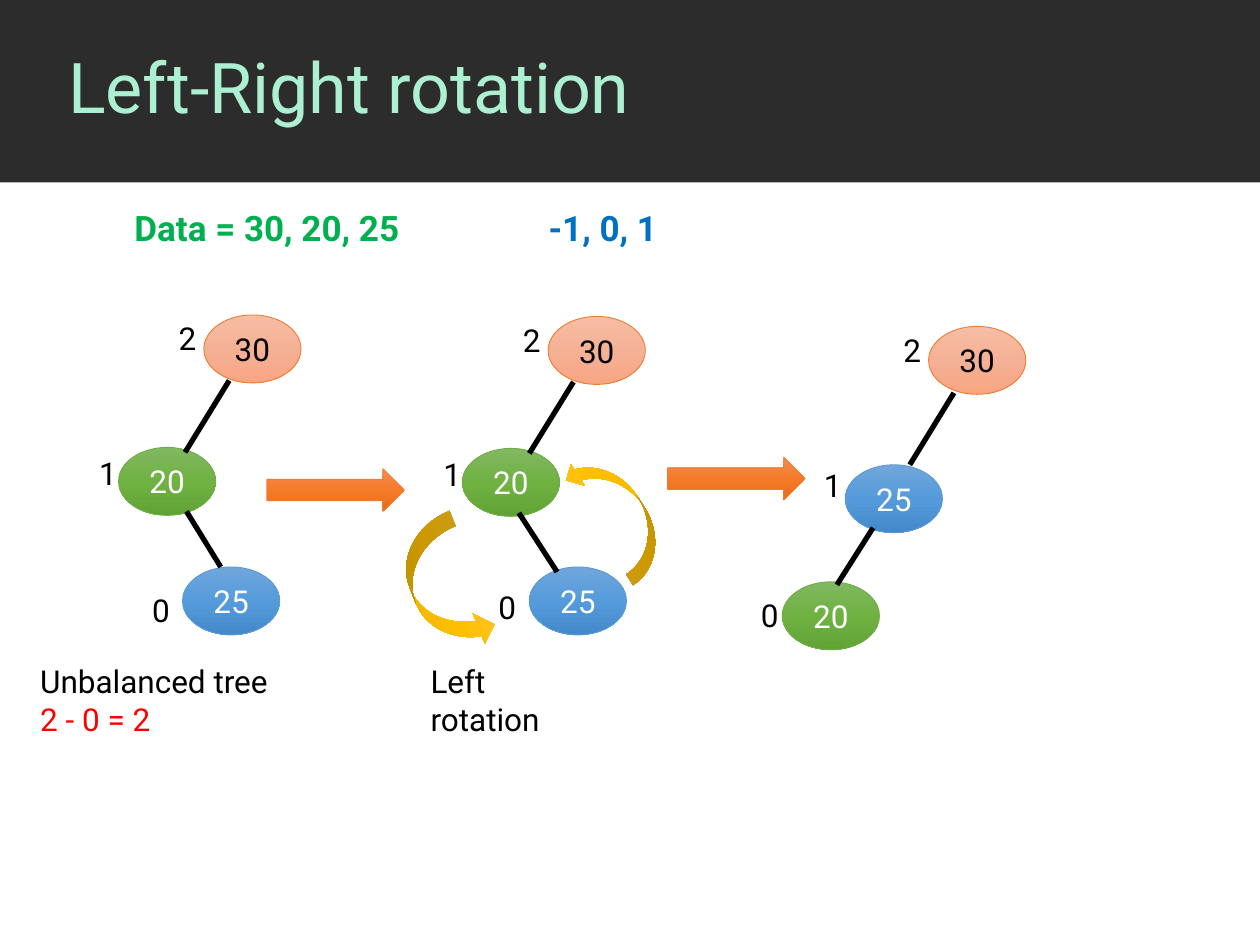
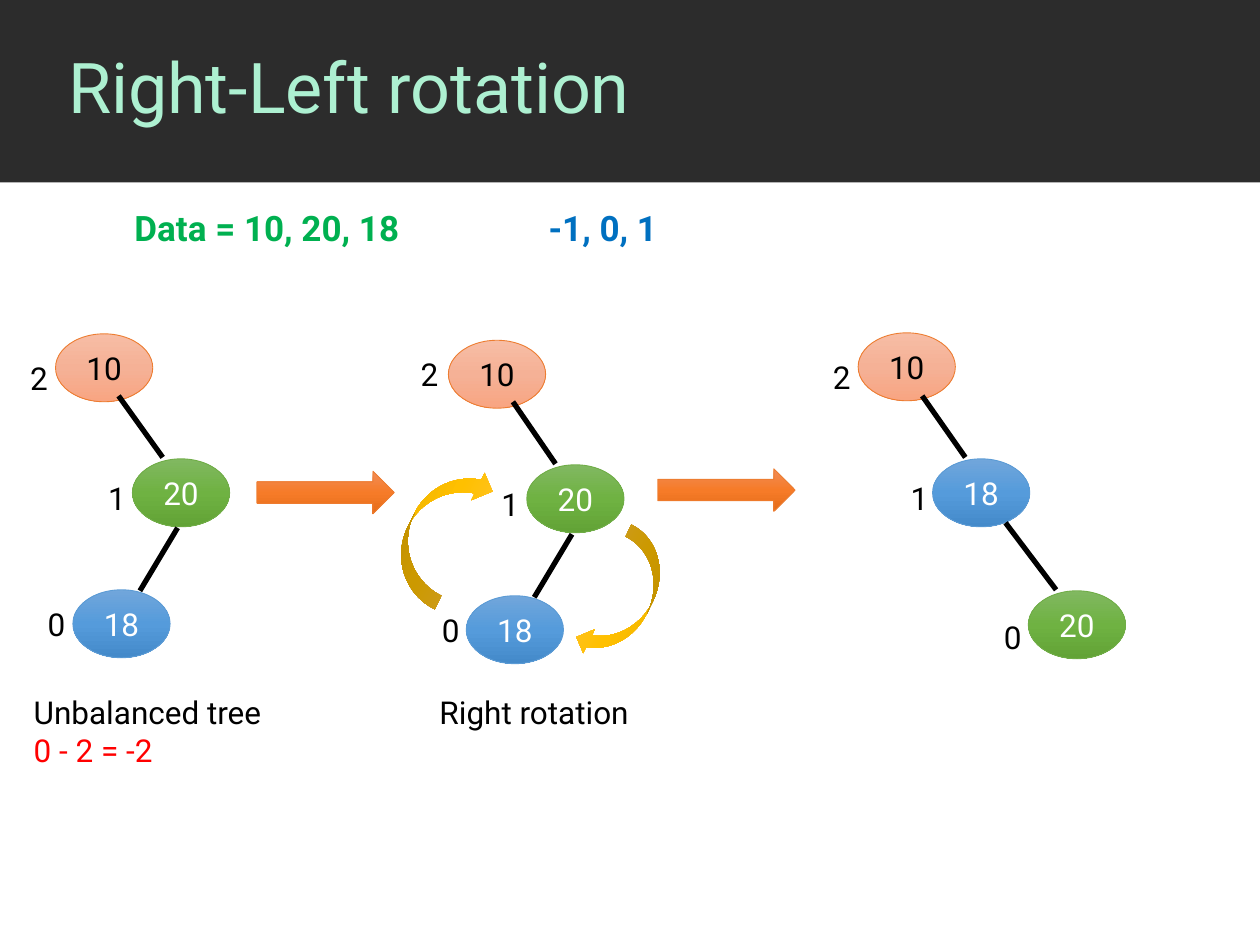
import copy
import dataclasses

import lxml.etree
import pptx
import pptx.dml.color
import pptx.enum.shapes
import pptx.enum.text
import pptx.oxml.ns
import pptx.util

Cm, Pt = pptx.util.Cm, pptx.util.Pt
SHAPE = pptx.enum.shapes.MSO_SHAPE
ANCHOR = pptx.enum.text.MSO_ANCHOR
ALIGN = pptx.enum.text.PP_ALIGN
AUTO_SIZE = pptx.enum.text.MSO_AUTO_SIZE
qn = pptx.oxml.ns.qn


# Theme: colours, type sizes and repeated sizes (cm)
@dataclasses.dataclass(frozen=True)
class Theme:
    font: str = "Roboto"
    title_size: int = 40
    data_size: int = 20
    body_size: int = 18
    band: str = "2C2C2C"
    title: str = "ADF0D1"
    black: str = "000000"
    white: str = "FFFFFF"
    data: str = "00B050"
    balance: str = "0070C0"
    warning: str = "FF0000"
    # Gradient stops from top to bottom
    orange: tuple = ("F18C57", "F67B28", "E56C19")
    gold: tuple = ("FFC64B", "FFC000", "E3AB00")
    # Tree nodes: gradient, outline, text colour
    peach_node: tuple = (("F7BDA5", "F5B196", "F8A582"), "ED7D31", "000000")
    green_node: tuple = (("81B861", "6FB242", "62A336"), "70AD47", "FFFFFF")
    blue_node: tuple = (("71A6DB", "559BDB", "448ACA"), "5B9BD5", "FFFFFF")
    arrow_line: str = "ED7D31"
    node_size: tuple = (1.96, 1.37)
    label_size: tuple = (0.76, 1.02)
    arrow_size: tuple = (2.77, 0.86)


T = Theme()
PEACH, GREEN, BLUE = T.peach_node, T.green_node, T.blue_node

# Each tree runs from root to leaf.
# nodes: value, style, node place, label place; edges: from, to (cm)
SLIDES = [
    {
        "title": "Left-Right rotation",
        "data": "Data = 30, 20, 25",
        "trees": [
            {"nodes": [("30", PEACH, (4.11, 6.35), (3.35, 6.3)),
                       ("20", GREEN, (2.39, 9.02), (1.75, 9.02)),
                       ("25", BLUE, (3.68, 11.43), (2.82, 11.79))],
             "edges": [(4.62, 7.67, 3.73, 9.12), (3.76, 10.31, 4.45, 11.43)]},
            {"nodes": [("30", PEACH, (11.05, 6.38), (10.29, 6.35)),
                       ("20", GREEN, (9.32, 9.04), (8.69, 9.04)),
                       ("25", BLUE, (10.67, 11.43), (9.8, 11.73))],
             "edges": [(11.56, 7.7, 10.67, 9.14), (10.46, 10.34, 11.23, 11.53)]},
            {"nodes": [("30", PEACH, (18.72, 6.58), (17.96, 6.55)),
                       ("25", BLUE, (17.04, 9.37), (16.36, 9.27)),
                       ("20", GREEN, (15.77, 11.73), (15.09, 11.89))],
             "edges": [(19.23, 7.92, 18.34, 9.37), (17.6, 10.64, 16.87, 11.79)]},
        ],
        "arrows": [(5.38, 9.45), (13.46, 9.22)],
        "turns": [((11.07, 9.83, 2.77, 1.04), 237.4, ()),
                  ((7.57, 11.18, 2.79, 1.32), 248.3, ("flipH", "flipV"))],
        "captions": [((0.56, 13.23, 6.53, 1.8),
                      [("Unbalanced tree", T.black), ("2 - 0 = 2", T.warning)]),
                     ((8.43, 13.23, 3.6, 1.8), [("Left rotation", T.black)])],
    },
    {
        "title": "Right-Left rotation",
        "data": "Data = 10, 20, 18",
        "trees": [
            {"nodes": [("10", PEACH, (1.12, 6.73), (0.36, 7.11)),
                       ("20", GREEN, (2.67, 9.25), (1.93, 9.53)),
                       ("18", BLUE, (1.47, 11.89), (0.71, 12.07))],
             "edges": [(2.39, 7.98, 3.28, 9.22), (3.58, 10.64, 2.82, 11.91)]},
            {"nodes": [("10", PEACH, (9.04, 6.86), (8.23, 7.04)),
                       ("20", GREEN, (10.62, 9.37), (9.86, 9.65)),
                       ("18", BLUE, (9.4, 12.01), (8.66, 12.19))],
             "edges": [(10.34, 8.1, 11.2, 9.35), (11.53, 10.77, 10.77, 12.04)]},
            {"nodes": [("10", PEACH, (17.3, 6.71), (16.54, 7.09)),
                       ("18", BLUE, (18.8, 9.25), (18.11, 9.53)),
                       ("20", GREEN, (20.73, 11.91), (19.99, 12.34))],
             "edges": [(18.59, 7.98, 19.46, 9.22), (20.27, 10.54, 21.29, 11.89)]},
        ],
        "arrows": [(5.18, 9.5), (13.26, 9.45)],
        "turns": [((7.39, 10.08, 2.95, 1.22), 296.1, ("flipV",)),
                  ((11.2, 11.53, 2.79, 1.07), 296.1, ("flipH",))],
        "captions": [((0.43, 13.84, 6.53, 1.8),
                      [("Unbalanced tree", T.black), ("0 - 2 = -2", T.warning)]),
                     ((8.61, 13.84, 4.6, 1.02), [("Right rotation", T.black)])],
    },
]


# Formatting helpers
def rgb(colour):
    return pptx.dml.color.RGBColor.from_string(colour)


def set_attrs(obj, formats):
    for name, value in formats.items():
        setattr(obj, name, value)


def add_run(p, text, colour, size=T.body_size, bold=False):
    r = p.add_run()
    r.text = text
    set_attrs(r.font, {"name": T.font, "size": Pt(size), "bold": bold})
    r.font.color.rgb = rgb(colour)


def set_gradient(sp, colours):
    sp.fill.gradient()
    sp.fill.gradient_angle = 270
    stop_list = sp.element.spPr.find(".//" + qn("a:gsLst"))
    stop_list.insert(1, copy.deepcopy(stop_list[0]))
    for i, (stop, colour) in enumerate(zip(sp.fill.gradient_stops, colours)):
        stop.position = i / 2
        stop.color.rgb = rgb(colour)


# Elements
def add_preset(slide, kind, box, colours, outline=None):
    sp = slide.shapes.add_shape(kind, *map(Cm, box))
    sp.shadow.inherit = False
    if isinstance(colours, tuple):
        set_gradient(sp, colours)
    else:
        sp.fill.solid()
        sp.fill.fore_color.rgb = rgb(colours)
    if outline:
        sp.line.color.rgb = rgb(outline)
        sp.line.width = Pt(0.5)
    else:
        sp.line.fill.background()
    return sp


def add_title(slide, text):
    band = add_preset(slide, SHAPE.RECTANGLE, (0, 0, 25.4, 3.68), T.band)
    title = slide.shapes.title
    title.element.addprevious(band.element)
    set_attrs(title, {"left": Cm(1.12), "top": Cm(0),
                      "width": Cm(24.28), "height": Cm(3.66)})
    tf = title.text_frame
    set_attrs(tf, {"vertical_anchor": ANCHOR.MIDDLE, "word_wrap": True,
                   "auto_size": AUTO_SIZE.NONE})
    p = tf.paragraphs[0]
    set_attrs(p, {"alignment": ALIGN.LEFT, "line_spacing": 0.9})
    add_run(p, text, T.title, T.title_size)


def add_text(slide, box, lines):
    sp = slide.shapes.add_textbox(*map(Cm, box))
    tf = sp.text_frame
    set_attrs(tf, {"word_wrap": True, "auto_size": AUTO_SIZE.SHAPE_TO_FIT_TEXT})
    for i, (text, colour) in enumerate(lines):
        p = tf.add_paragraph() if i else tf.paragraphs[0]
        add_run(p, text, colour)
    return sp


def add_data_line(slide, data):
    sp = add_text(slide, (2.46, 4.04, 11.76, 1.12), [])
    p = sp.text_frame.paragraphs[0]
    tabs = lxml.etree.SubElement(p._p.get_or_add_pPr(), qn("a:tabLst"))
    lxml.etree.SubElement(tabs, qn("a:tab"), pos=str(Cm(8.35)), algn="l")
    add_run(p, data + "\t", T.data, T.data_size, True)
    add_run(p, "-1, 0, 1", T.balance, T.data_size, True)


def add_node(slide, value, style, place):
    colours, outline, text_colour = style
    sp = add_preset(slide, SHAPE.OVAL, place + T.node_size, colours, outline)
    sp.text_frame.vertical_anchor = ANCHOR.MIDDLE
    p = sp.text_frame.paragraphs[0]
    p.alignment = ALIGN.CENTER
    add_run(p, value, text_colour)


def add_edge(slide, ends):
    line = slide.shapes.add_connector(
        pptx.enum.shapes.MSO_CONNECTOR.STRAIGHT, *map(Cm, ends))
    line.line.color.rgb = rgb(T.black)
    line.line.width = Pt(3)
    lxml.etree.SubElement(line.element.spPr, qn("a:effectLst"))


def add_tree(slide, nodes, edges):
    leaf = len(nodes) - 1
    for depth, (value, style, place, label_place) in enumerate(nodes):
        add_node(slide, value, style, place)
        add_text(slide, label_place + T.label_size, [(str(leaf - depth), T.black)])
    for ends in edges:
        add_edge(slide, ends)


def add_turn(slide, box, angle, flips):
    sp = add_preset(slide, SHAPE.CURVED_UP_ARROW, box, T.gold)
    sp.rotation = angle
    for flip in flips:
        sp.element.spPr.find(qn("a:xfrm")).set(flip, "1")


def main():
    prs = pptx.Presentation()
    set_attrs(prs, {"slide_width": Cm(25.4), "slide_height": Cm(19.05)})
    title_only = prs.slide_layouts[5]
    for content in SLIDES:
        slide = prs.slides.add_slide(title_only)
        add_title(slide, content["title"])
        add_data_line(slide, content["data"])
        for tree in content["trees"]:
            add_tree(slide, **tree)
        # Steps between trees and the rotation around the middle one
        for place in content["arrows"]:
            add_preset(slide, SHAPE.RIGHT_ARROW, place + T.arrow_size,
                       T.orange, T.arrow_line)
        for turn in content["turns"]:
            add_turn(slide, *turn)
        for box, lines in content["captions"]:
            add_text(slide, box, lines)
    prs.save("out.pptx")


if __name__ == "__main__":
    main()
